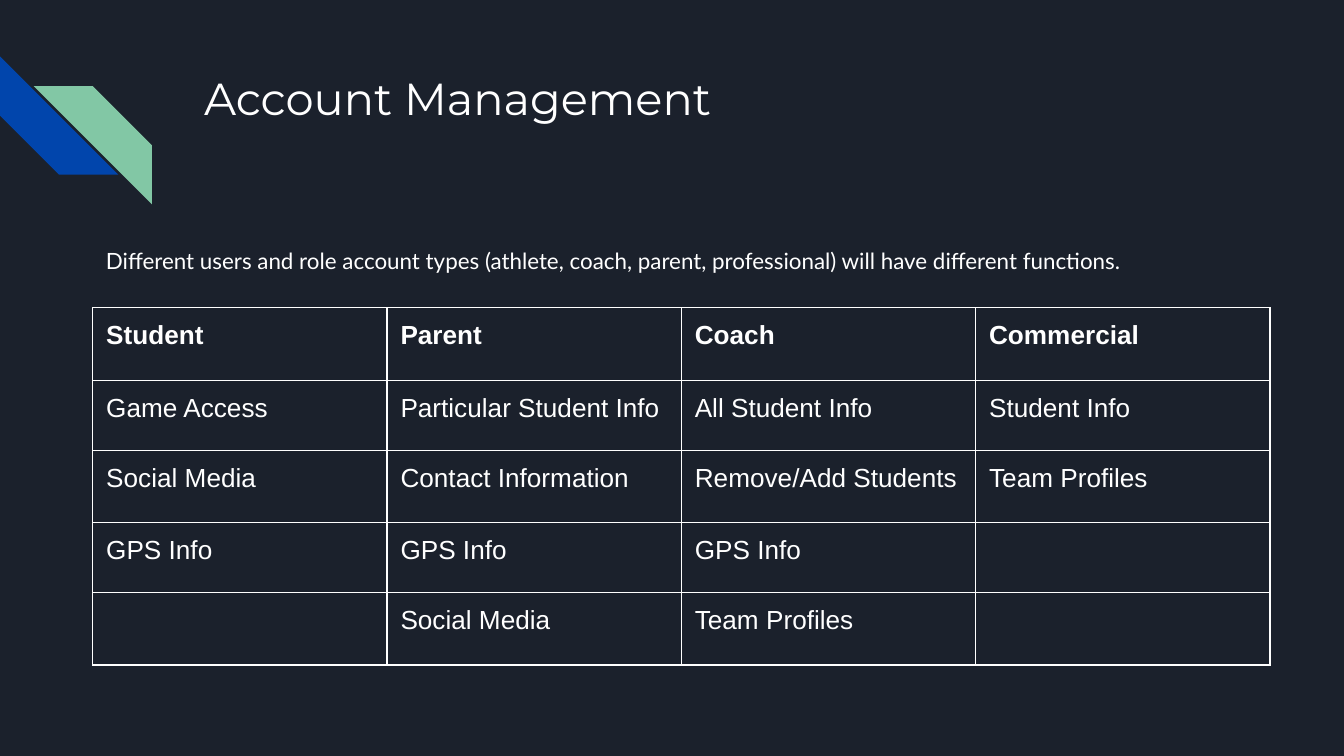
from dataclasses import dataclass

from lxml import etree
from pptx import Presentation
from pptx import util as u
from pptx.dml.color import RGBColor
from pptx.enum import shapes, text
from pptx.oxml import ns


@dataclass(frozen=True)
class Theme:
    back: str = "1B212C"
    ink: str = "FFFFFF"
    blue: str = "0145AC"
    green: str = "82C7A5"
    head: str = "Montserrat"
    body: str = "Lato"
    grid: str = "Arial"
    large: float = 24
    small: float = 12
    cell: float = 14
    line: float = 0.75
    inset: float = 0.1


@dataclass(frozen=True)
class Stripe:
    left: float
    top: float
    color: str
    turn: int = 0
    flip: bool = False


@dataclass(frozen=True)
class Box:
    left: float
    top: float
    width: float
    height: float


THEME = Theme()
WIDTH = 10
SIDE = 0.88
SIDES = ("left", "top", "right", "bottom")
STRIPES = (
    Stripe(0, 0.42, THEME.blue, turn=270),
    Stripe(0.25, 0.64, THEME.green, flip=True),
)
ROWS = (
    ("Student", "Parent", "Coach", "Commercial"),
    ("Game Access", "Particular Student Info", "All Student Info", "Student Info"),
    ("Social Media", "Contact Information", "Remove/Add Students", "Team Profiles"),
    ("GPS Info", "GPS Info", "GPS Info", ""),
    ("", "Social Media", "Team Profiles", ""),
)
HEIGHTS = (0.54, 0.52, 0.54, 0.52, 0.54)
COLUMN = 2.19


def inset(item) -> None:
    """Give a text frame or a cell equal margins."""
    for side in SIDES:
        setattr(item, f"margin_{side}", u.Inches(THEME.inset))


def write(frame, words: str, *, font: str, size: float, bold: bool = False,
          spacing: float | None = None, after: float | None = None) -> None:
    """Put one formatted paragraph into a text frame."""
    para = frame.paragraphs[0]
    para.line_spacing = spacing
    if after is not None:
        para.space_after = u.Pt(after)
    para.font.size = u.Pt(size)
    if words:
        run = para.add_run()
        run.text = words
        run.font.name = font
        run.font.size = u.Pt(size)
        run.font.bold = bold
        run.font.color.rgb = RGBColor.from_string(THEME.ink)


def label(slide, box: Box, words: str, **style) -> None:
    frame = slide.shapes.add_textbox(
        *map(u.Inches, (box.left, box.top, box.width, box.height))).text_frame
    frame.word_wrap = True
    frame.vertical_anchor = text.MSO_ANCHOR.TOP
    inset(frame)
    write(frame, words, **style)


def band(slide, stripe: Stripe) -> None:
    shape = slide.shapes.add_shape(
        shapes.MSO_SHAPE.DIAGONAL_STRIPE,
        *map(u.Inches, (stripe.left, stripe.top, SIDE, SIDE)))
    shape.rotation = stripe.turn
    if stripe.flip:
        shape.element.spPr.find(ns.qn("a:xfrm")).set("flipH", "1")
    shape.shadow.inherit = False
    shape.fill.solid()
    shape.fill.fore_color.rgb = RGBColor.from_string(stripe.color)
    shape.line.fill.background()


def border(cell) -> None:
    """Draw all four edges of a cell, ahead of its fill in the XML."""
    props = cell._tc.get_or_add_tcPr()
    for spot, edge in enumerate(("lnL", "lnR", "lnT", "lnB")):
        line = etree.Element(ns.qn(f"a:{edge}"), w=str(u.Pt(THEME.line)))
        fill = etree.SubElement(line, ns.qn("a:solidFill"))
        etree.SubElement(fill, ns.qn("a:srgbClr"), val=THEME.ink)
        props.insert(spot, line)


def grid(slide, left: float, top: float) -> None:
    count = len(ROWS[0])
    table = slide.shapes.add_table(
        len(ROWS), count, u.Inches(left), u.Inches(top),
        u.Inches(COLUMN * count), u.Inches(sum(HEIGHTS))).table
    table.first_row = table.horz_banding = False
    for col in table.columns:
        col.width = u.Inches(COLUMN)
    for r, (row, height) in enumerate(zip(ROWS, HEIGHTS)):
        table.rows[r].height = u.Inches(height)
        for c, words in enumerate(row):
            cell = table.cell(r, c)
            inset(cell)
            cell.fill.background()
            border(cell)
            write(cell.text_frame, words, font=THEME.grid,
                  size=THEME.cell, bold=r == 0)


def main() -> None:
    # Widescreen page, 16 to 9
    deck = Presentation()
    deck.slide_width = u.Inches(WIDTH)
    deck.slide_height = u.Inches(WIDTH * 9 / 16)
    slide = deck.slides.add_slide(deck.slide_layouts[6])
    slide.background.fill.solid()
    slide.background.fill.fore_color.rgb = RGBColor.from_string(THEME.back)

    # Corner stripes
    for stripe in STRIPES:
        band(slide, stripe)

    # Title and lead sentence
    label(slide, Box(1.42, 0.43, 7.7, 1), "Account Management",
          font=THEME.head, size=THEME.large)
    label(slide, Box(0.69, 1.71, 8.7, 0.53),
          "Different users and role account types (athlete, coach, parent, "
          "professional) will have different functions.",
          font=THEME.body, size=THEME.small, spacing=1.15, after=12)

    # Functions by role
    grid(slide, 0.69, 2.29)
    deck.save("out.pptx")


if __name__ == "__main__":
    main()
